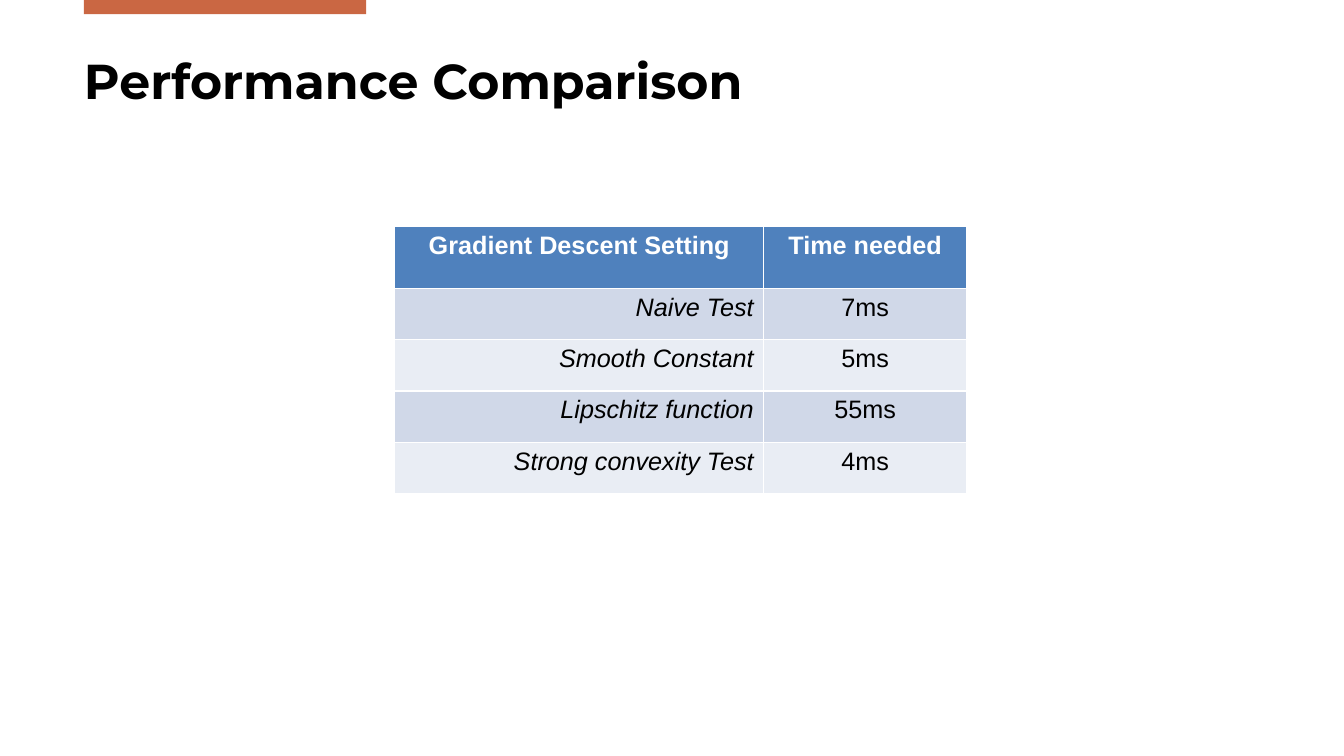
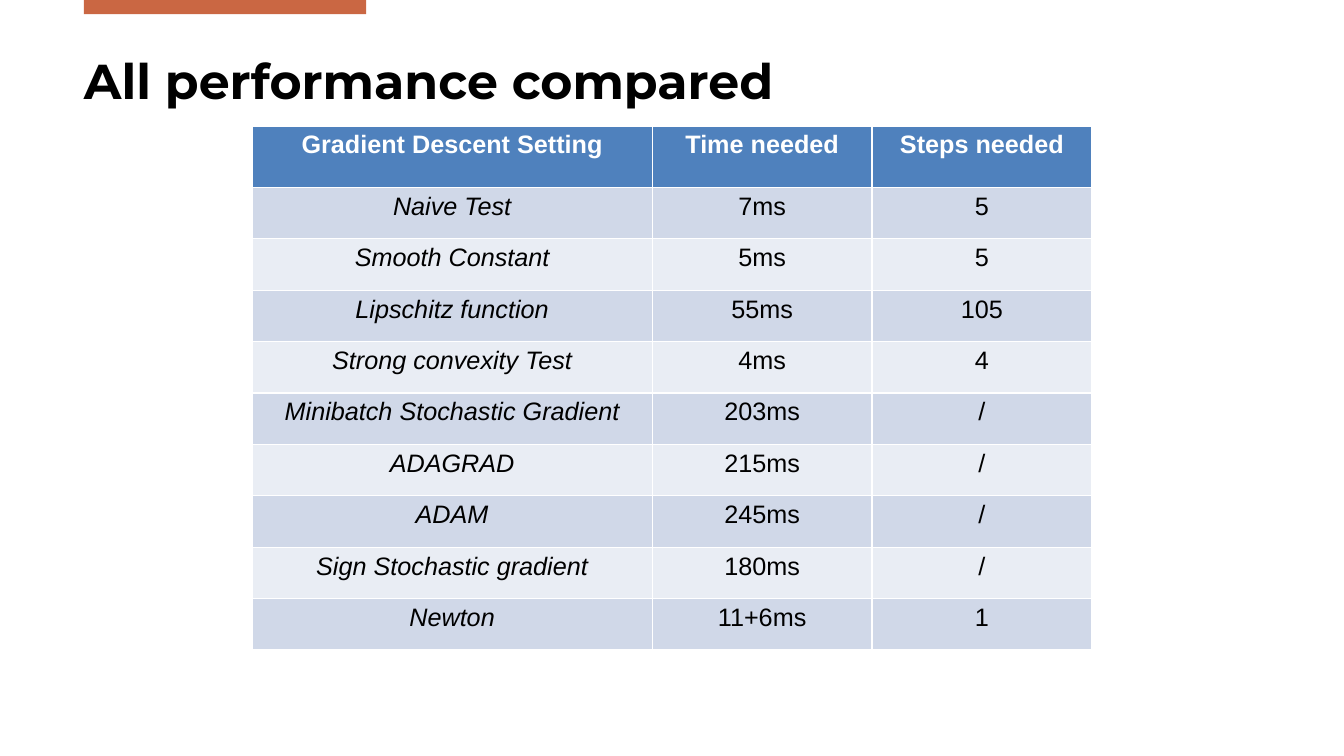
from pptx import Presentation
from pptx.dml.color import RGBColor
from pptx.enum.shapes import MSO_SHAPE
from pptx.enum.text import MSO_ANCHOR, MSO_AUTO_SIZE, PP_ALIGN
from pptx.util import Inches, Pt

HUE = {"band": "CA6743", "head": "4F81BD", "odd": "D0D8E8",
       "even": "E9EDF4", "ink": "000000", "pale": "FFFFFF"}
WIDE, HIGH = Inches(13.33), Inches(7.5)
EDGE = WIDE / 16
HEADS = ["Gradient Descent Setting", "Time needed", "Steps needed"]
TESTS = [
    ("Naive Test", "7ms", "5"),
    ("Smooth Constant", "5ms", "5"),
    ("Lipschitz function", "55ms", "105"),
    ("Strong convexity Test", "4ms", "4"),
    ("Minibatch Stochastic Gradient", "203ms", "/"),
    ("ADAGRAD", "215ms", "/"),
    ("ADAM", "245ms", "/"),
    ("Sign Stochastic gradient", "180ms", "/"),
    ("Newton", "11+6ms", "1"),
]


def paint(fill, hue):
    """Fill with a solid named colour."""
    fill.solid()
    fill.fore_color.rgb = RGBColor.from_string(HUE[hue])


def write(para, text, size, face, hue, bold=False, slant=False):
    """Add one formatted run to a paragraph."""
    run = para.add_run()
    run.text = text
    font = run.font
    font.size, font.name = Pt(size), face
    font.bold, font.italic = bold, slant
    font.color.rgb = RGBColor.from_string(HUE[hue])


def add_page(deck, text):
    """Add a slide with the shared top band and title."""
    page = deck.slides.add_slide(deck.slide_layouts[5])
    paint(page.background.fill, "pale")
    band = page.shapes.add_shape(MSO_SHAPE.RECTANGLE, int(EDGE), 0,
                                 int(WIDE * 0.21), Inches(0.14))
    band.shadow.inherit = False
    paint(band.fill, "band")
    band.line.fill.background()
    title = page.shapes.title
    title.left, title.top = int(EDGE), Inches(0.5)
    title.width, title.height = int(WIDE - 1.8 * EDGE), Inches(0.59)
    frame = title.text_frame
    frame.margin_left = frame.margin_right = 0
    frame.margin_top = frame.margin_bottom = 0
    frame.auto_size = MSO_AUTO_SIZE.NONE
    frame.vertical_anchor = MSO_ANCHOR.TOP
    para = frame.paragraphs[0]
    para.alignment = PP_ALIGN.LEFT
    write(para, text, 35, "Montserrat", "ink", bold=True)
    return page


def add_grid(page, left, top, cols, tests, side):
    """Place the results table, with one column per given width."""
    rows = [HEADS] + tests
    tall = [Inches(0.61)] + [Inches(0.51)] * len(tests)
    grid = page.shapes.add_table(len(rows), len(cols), int(left), int(top),
                                 Inches(sum(cols)), sum(tall)).table
    for col, width in zip(grid.columns, cols):
        col.width = Inches(width)
    for r, row in enumerate(rows):
        grid.rows[r].height = tall[r]
        for c, text in enumerate(row[:len(cols)]):
            cell = grid.cell(r, c)
            head, name = r == 0, r > 0 and c == 0
            paint(cell.fill, "head" if head else "odd" if r % 2 else "even")
            para = cell.text_frame.paragraphs[0]
            para.alignment = side if name else PP_ALIGN.CENTER
            write(para, text, 18, "Arial", "pale" if head else "ink",
                  bold=head, slant=name)


def main():
    """Build and save both slides."""
    deck = Presentation()
    deck.slide_width, deck.slide_height = WIDE, HIGH
    page = add_page(deck, "Performance Comparison")
    add_grid(page, 4.7 * EDGE, HIGH * 0.3, [3.66, 2.01], TESTS[:4],
             PP_ALIGN.RIGHT)
    page = add_page(deck, "All performance compared")
    add_grid(page, 3 * EDGE, HIGH / 6, [3.97, 2.18, 2.18], TESTS,
             PP_ALIGN.CENTER)
    deck.save("out.pptx")


if __name__ == "__main__":
    main()
